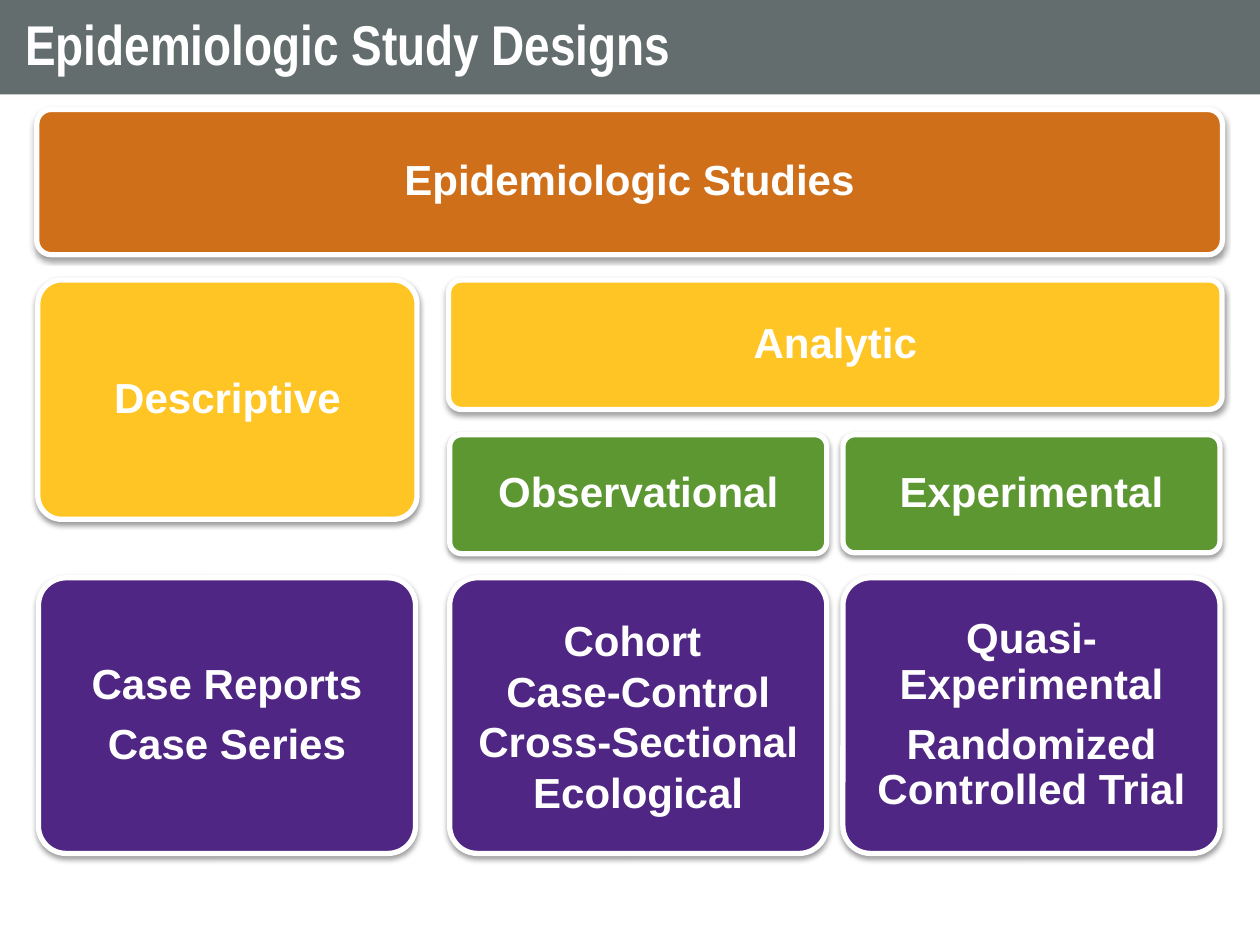
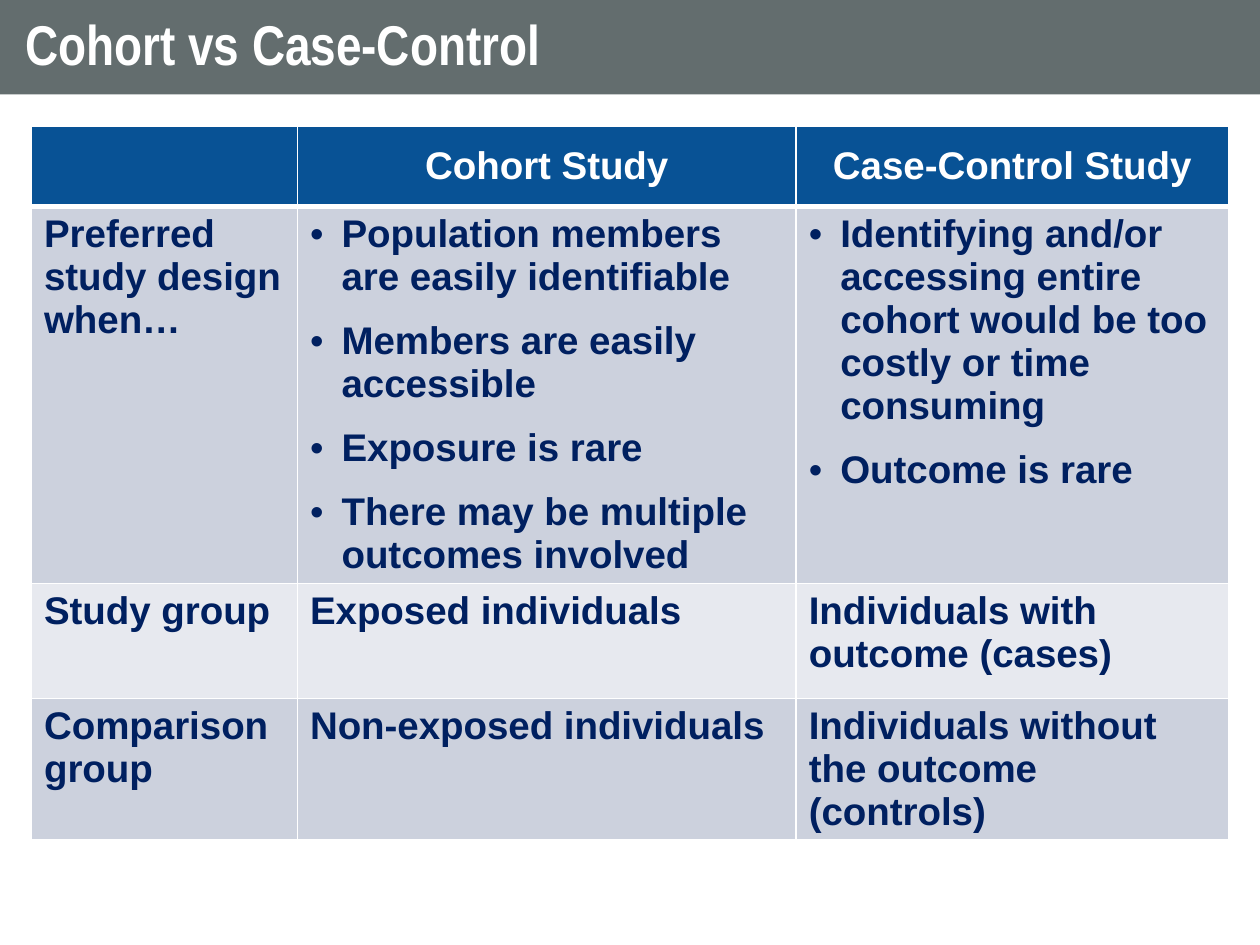
from lxml.etree import SubElement
from pptx import Presentation
from pptx.dml.color import RGBColor
from pptx.enum.shapes import MSO_SHAPE
from pptx.enum.text import MSO_ANCHOR, PP_ALIGN
from pptx.oxml import parse_xml
from pptx.oxml.ns import nsdecls, qn
from pptx.util import Pt

WHITE = "FFFFFF"
SLATE = "636D6E"
ORANGE = "D06F1A"
YELLOW = "FFC525"
GREEN = "5D9732"
PURPLE = "4F2683"
BLUE = "085295"
NAVY = "002060"
BAND_DARK = "CCD1DD"
BAND_LIGHT = "E7E9EF"


def color(hex_string):
    return RGBColor.from_string(hex_string)


def style_font(paragraph, name, size, hex_string):
    font = paragraph.font
    font.name = name
    font.size = Pt(size)
    font.bold = True
    font.color.rgb = color(hex_string)


presentation = Presentation()
presentation.slide_width = Pt(720)
presentation.slide_height = Pt(540)

# Title bands
slides = []
for title in ["Epidemiologic Study Designs", "Cohort vs Case-Control"]:
    slide = presentation.slides.add_slide(presentation.slide_layouts[6])
    band = slide.shapes.add_shape(MSO_SHAPE.RECTANGLE, 0, 0, Pt(720), Pt(54))
    band.fill.solid()
    band.fill.fore_color.rgb = color(SLATE)
    band.line.fill.background()
    band.shadow.inherit = False
    frame = band.text_frame
    frame.margin_left = frame.margin_right = Pt(14.4)
    frame.margin_top = frame.margin_bottom = Pt(7.2)
    frame.vertical_anchor = MSO_ANCHOR.MIDDLE
    paragraph = frame.paragraphs[0]
    paragraph.text = title
    paragraph.alignment = PP_ALIGN.LEFT
    paragraph.line_spacing = 0.9
    style_font(paragraph, "Arial Narrow", 32, WHITE)
    slides.append(slide)
designs_slide, comparison_slide = slides

# Tree of study designs: left, top, width, height, fill, lines, line spacing, space after
LEFT, MIDDLE, RIGHT = 22, 257, 481.7
BOX_WIDTH = 215.5
STUDY_TOP, STUDY_HEIGHT = 330.2, 157.5
design_boxes = [
    (21, 62.6, 677.5, 83, ORANGE, ["Epidemiologic Studies"], 0.9, 8.4),
    (256.3, 160, 442, 74, YELLOW, ["Analytic"], 0.9, 8.4),
    (RIGHT, 248.4, BOX_WIDTH, 67.5, GREEN, ["Experimental"], 0.9, 8.4),
    (RIGHT, STUDY_TOP, BOX_WIDTH, STUDY_HEIGHT, PURPLE,
     ["Quasi-Experimental", "Randomized Controlled Trial"], 0.9, 8.4),
    (MIDDLE, 248.4, BOX_WIDTH, 68, GREEN, ["Observational"], 0.9, 8.4),
    (MIDDLE, STUDY_TOP, BOX_WIDTH, STUDY_HEIGHT, PURPLE,
     ["Cohort ", "Case-Control", "Cross-Sectional", "Ecological"], 1.0, 0),
    (21.6, 160, 216.7, 136.8, YELLOW, ["Descriptive"], 0.9, 8.4),
    (LEFT, STUDY_TOP, BOX_WIDTH, STUDY_HEIGHT, PURPLE,
     ["Case Reports", "Case Series"], 0.9, 8.4),
]
for left, top, width, height, fill, lines, line_spacing, space_after in design_boxes:
    box = designs_slide.shapes.add_shape(
        MSO_SHAPE.ROUNDED_RECTANGLE, Pt(left), Pt(top), Pt(width), Pt(height))
    box.adjustments[0] = 0.1
    box.fill.solid()
    box.fill.fore_color.rgb = color(fill)
    box.line.color.rgb = color(WHITE)
    box.line.width = Pt(3)
    box.shadow.inherit = False
    box.element.spPr.find(qn("a:effectLst")).append(parse_xml(
        f'<a:outerShdw {nsdecls("a")} blurRad="{Pt(3.1)}" dist="{Pt(1.6)}" dir="5400000" '
        'rotWithShape="0"><a:srgbClr val="000000"><a:alpha val="38000"/></a:srgbClr>'
        '</a:outerShdw>'))
    frame = box.text_frame
    frame.word_wrap = True
    frame.vertical_anchor = MSO_ANCHOR.MIDDLE
    frame.margin_left = frame.margin_right = Pt(7.2)
    frame.margin_top = frame.margin_bottom = Pt(7.2)
    frame.text = "\n".join(lines)
    for paragraph in frame.paragraphs:
        paragraph.alignment = PP_ALIGN.CENTER
        paragraph.line_spacing = line_spacing
        paragraph.space_after = Pt(space_after)
        style_font(paragraph, "Arial", 24, WHITE)

# Comparison table; a cell with several lines is a bulleted list
comparison_rows = [
    [[""], ["Cohort Study"], ["Case-Control Study"]],
    [["Preferred study design when…"],
     ["Population members are easily identifiable", "Members are easily accessible",
      "Exposure is rare", "There may be multiple outcomes involved"],
     ["Identifying and/or accessing entire cohort would be too costly or time consuming",
      "Outcome is rare"]],
    [["Study group"], ["Exposed individuals"], ["Individuals with outcome (cases)"]],
    [["Comparison group"], ["Non-exposed individuals"],
     ["Individuals without the outcome (controls)"]],
]
column_widths = [152, 285, 247]
row_heights = [46, 215.3, 65.7, 80]
row_fills = [BLUE, BAND_DARK, BAND_LIGHT, BAND_DARK]

table = comparison_slide.shapes.add_table(
    len(row_heights), len(column_widths), Pt(18), Pt(72),
    Pt(sum(column_widths)), Pt(sum(row_heights))).table
for column, width in zip(table.columns, column_widths):
    column.width = Pt(width)
for row_index, cell_texts in enumerate(comparison_rows):
    row = table.rows[row_index]
    row.height = Pt(row_heights[row_index])
    is_header = row_index == 0
    for cell, lines in zip(row.cells, cell_texts):
        properties = cell._tc.get_or_add_tcPr()
        border_widths = {"lnL": 1, "lnR": 1, "lnT": 3 if row_index == 1 else 1,
                         "lnB": 3 if is_header else 1}
        for side, width in border_widths.items():
            properties.append(parse_xml(
                f'<a:{side} {nsdecls("a")} w="{Pt(width)}"><a:solidFill>'
                f'<a:srgbClr val="{WHITE}"/></a:solidFill></a:{side}>'))
        cell.fill.solid()
        cell.fill.fore_color.rgb = color(row_fills[row_index])
        cell.vertical_anchor = MSO_ANCHOR.MIDDLE if is_header else MSO_ANCHOR.TOP
        cell.text = "\n".join(lines)
        paragraphs = cell.text_frame.paragraphs
        for paragraph in paragraphs:
            if len(lines) > 1:
                paragraph_properties = paragraph._p.get_or_add_pPr()
                paragraph_properties.set("marL", str(Pt(18)))
                paragraph_properties.set("indent", str(-Pt(18)))
                SubElement(paragraph_properties, qn("a:buFont"), typeface="Arial")
                SubElement(paragraph_properties, qn("a:buChar"), char="•")
            paragraph.alignment = PP_ALIGN.CENTER if is_header else PP_ALIGN.LEFT
            style_font(paragraph, "Arial", 22, WHITE if is_header else NAVY)
        for paragraph in paragraphs[:-1]:
            paragraph.space_after = Pt(12)

presentation.save("out.pptx")
